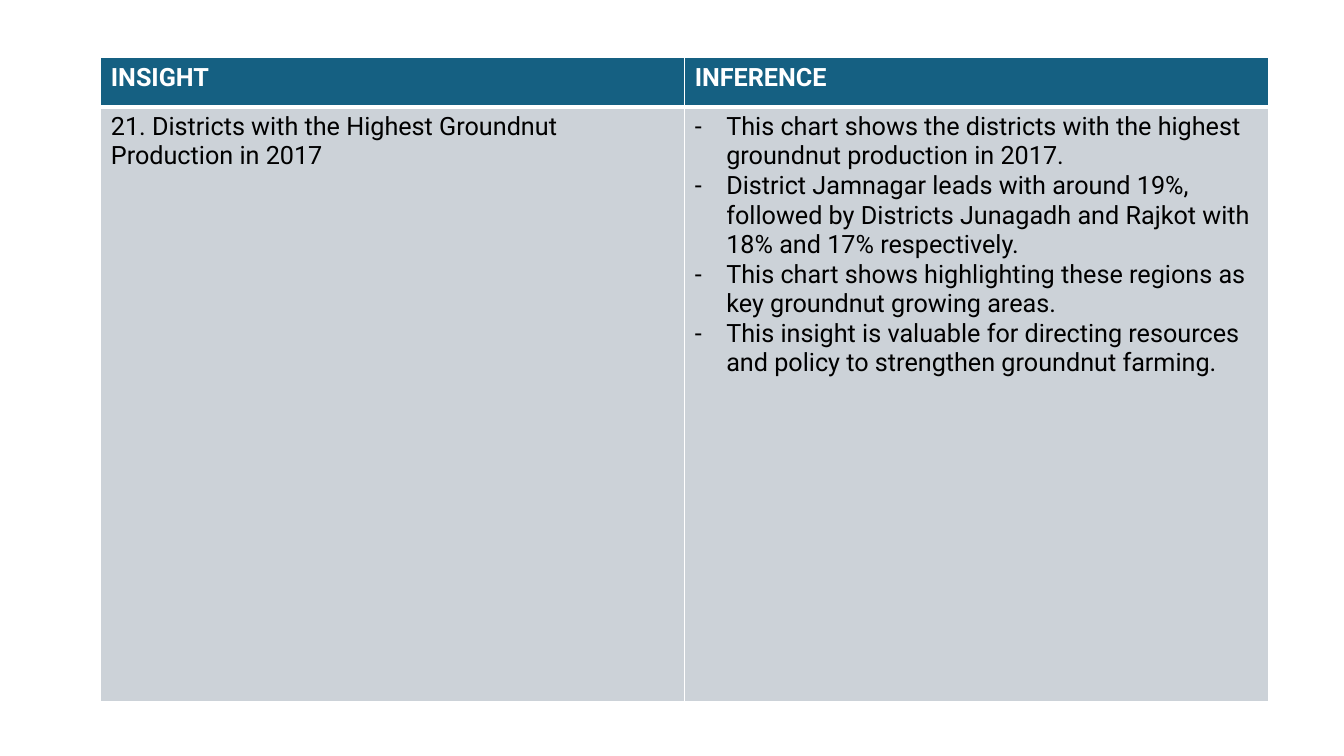
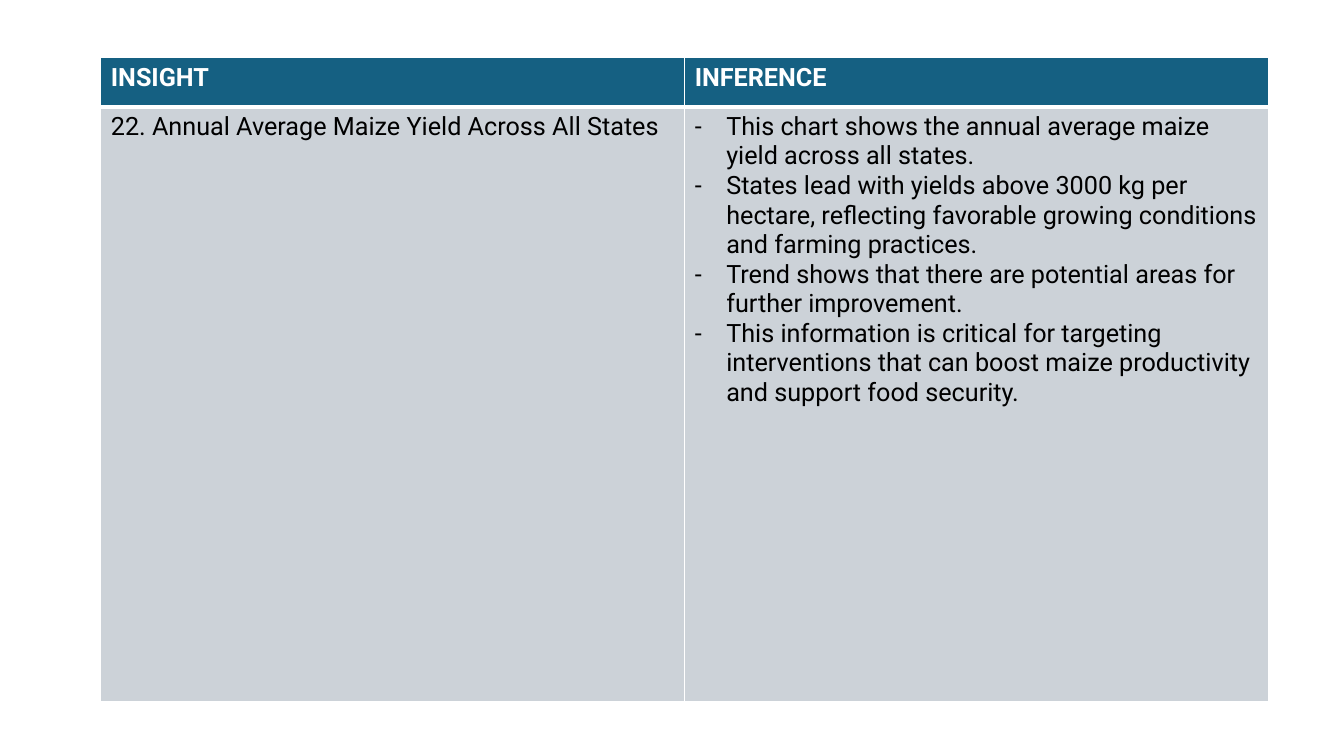
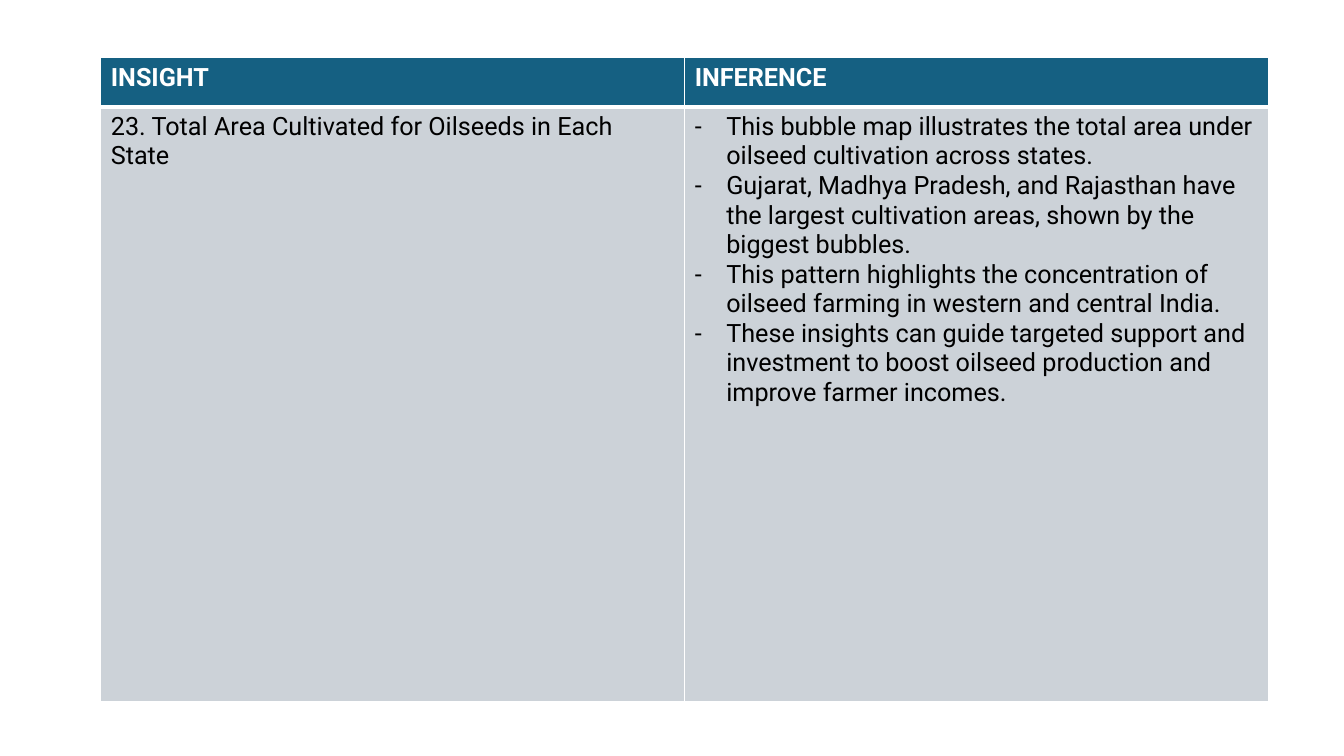
from lxml.etree import SubElement
from pptx import Presentation
from pptx.dml.color import RGBColor
from pptx.oxml.ns import qn
from pptx.util import Pt

FONT, SIZE = "Roboto", 18
TEAL, GREY, WHITE, BLACK = "156082", "CCD2D8", "FFFFFF", "000000"
LEFT, TOP = 72, 41.25
COL_W = 417.1
HEAD_H, BODY_H = 35.2, 424.8
THIN, THICK = 1, 3
INDENT = 22.5

HEADINGS = ("INSIGHT", "INFERENCE")
INSIGHTS = [
    ("21. Districts with the Highest Groundnut Production in 2017", [
        "This chart shows the districts with the highest groundnut production in 2017.",
        "District Jamnagar leads with around 19%, followed by Districts Junagadh and "
        "Rajkot with 18% and 17% respectively.",
        "This chart shows highlighting these regions as key groundnut growing areas.",
        "This insight is valuable for directing resources and policy to strengthen "
        "groundnut farming.",
    ]),
    ("22. Annual Average Maize Yield Across All States", [
        "This chart shows the annual average maize yield across all states.",
        "States lead with yields above 3000 kg per hectare, reflecting favorable "
        "growing conditions and farming practices.",
        "Trend shows that there are potential areas for further improvement.",
        "This information is critical for targeting interventions that can boost maize "
        "productivity and support food security.",
    ]),
    ("23. Total Area Cultivated for Oilseeds in Each State", [
        "This bubble map illustrates the total area under oilseed cultivation across states.",
        "Gujarat, Madhya Pradesh, and Rajasthan have the largest cultivation areas, "
        "shown by the biggest bubbles.",
        "This pattern highlights the concentration of oilseed farming in western and "
        "central India.",
        "These insights can guide targeted support and investment to boost oilseed "
        "production and improve farmer incomes.",
    ]),
]


def rgb(color):
    return RGBColor.from_string(color)


def set_text(tf, lines, color=BLACK, bold=False, bullet=None):
    for i, line in enumerate(lines):
        p = tf.paragraphs[0] if i == 0 else tf.add_paragraph()
        r = p.add_run()
        r.text = line
        r.font.name, r.font.size, r.font.bold = FONT, Pt(SIZE), bold
        r.font.color.rgb = rgb(color)
        if bullet:
            pPr = p._p.get_or_add_pPr()
            pPr.set("marL", str(Pt(INDENT)))
            pPr.set("indent", str(-Pt(INDENT)))
            SubElement(pPr, qn("a:buFont"), typeface=FONT)
            SubElement(pPr, qn("a:buChar"), char=bullet)


def set_borders(cell, **widths):
    """Draw white borders; must run before the fill, which follows them in the XML."""
    tcPr = cell._tc.get_or_add_tcPr()
    for side in "LRTB":
        ln = SubElement(tcPr, qn(f"a:ln{side}"), w=str(Pt(widths.get(side, THIN))))
        fill = SubElement(ln, qn("a:solidFill"))
        SubElement(fill, qn("a:srgbClr"), val=WHITE)


def set_cell(cell, lines, fill, borders, **text_format):
    set_borders(cell, **borders)
    cell.fill.solid()
    cell.fill.fore_color.rgb = rgb(fill)
    set_text(cell.text_frame, lines, **text_format)


def add_insight(prs, insight, inferences):
    s = prs.slides.add_slide(prs.slide_layouts[6])
    table = s.shapes.add_table(2, 2, Pt(LEFT), Pt(TOP), Pt(2 * COL_W),
                               Pt(HEAD_H + BODY_H)).table
    for col in table.columns:
        col.width = Pt(COL_W)
    for row, height in zip(table.rows, (HEAD_H, BODY_H)):
        row.height = Pt(height)
    for c, heading in enumerate(HEADINGS):
        set_cell(table.cell(0, c), [heading], TEAL, {"B": THICK}, color=WHITE, bold=True)
    for c, (lines, bullet) in enumerate([([insight], None), (inferences, "-")]):
        set_cell(table.cell(1, c), lines, GREY, {"T": THICK}, bullet=bullet)


def main():
    prs = Presentation()
    prs.slide_width, prs.slide_height = Pt(960), Pt(540)
    for insight, inferences in INSIGHTS:
        add_insight(prs, insight, inferences)
    prs.save("out.pptx")


if __name__ == "__main__":
    main()
